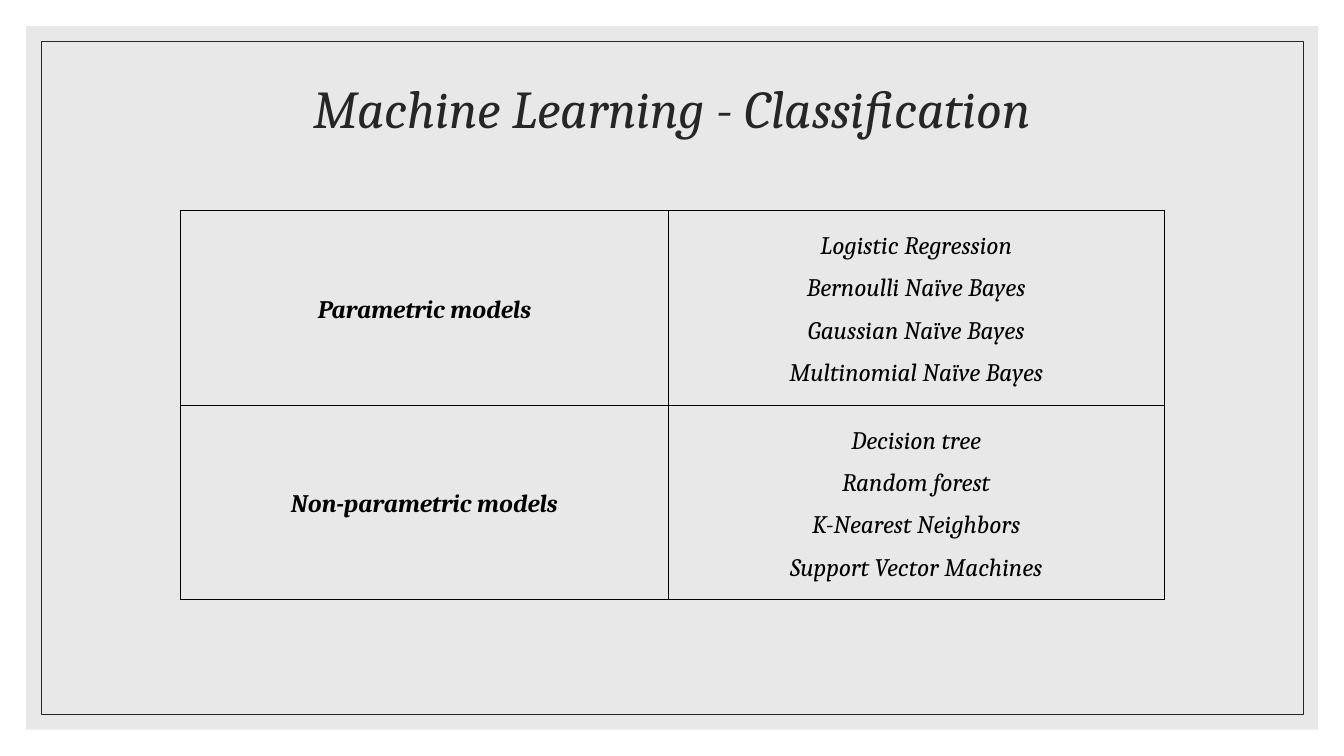
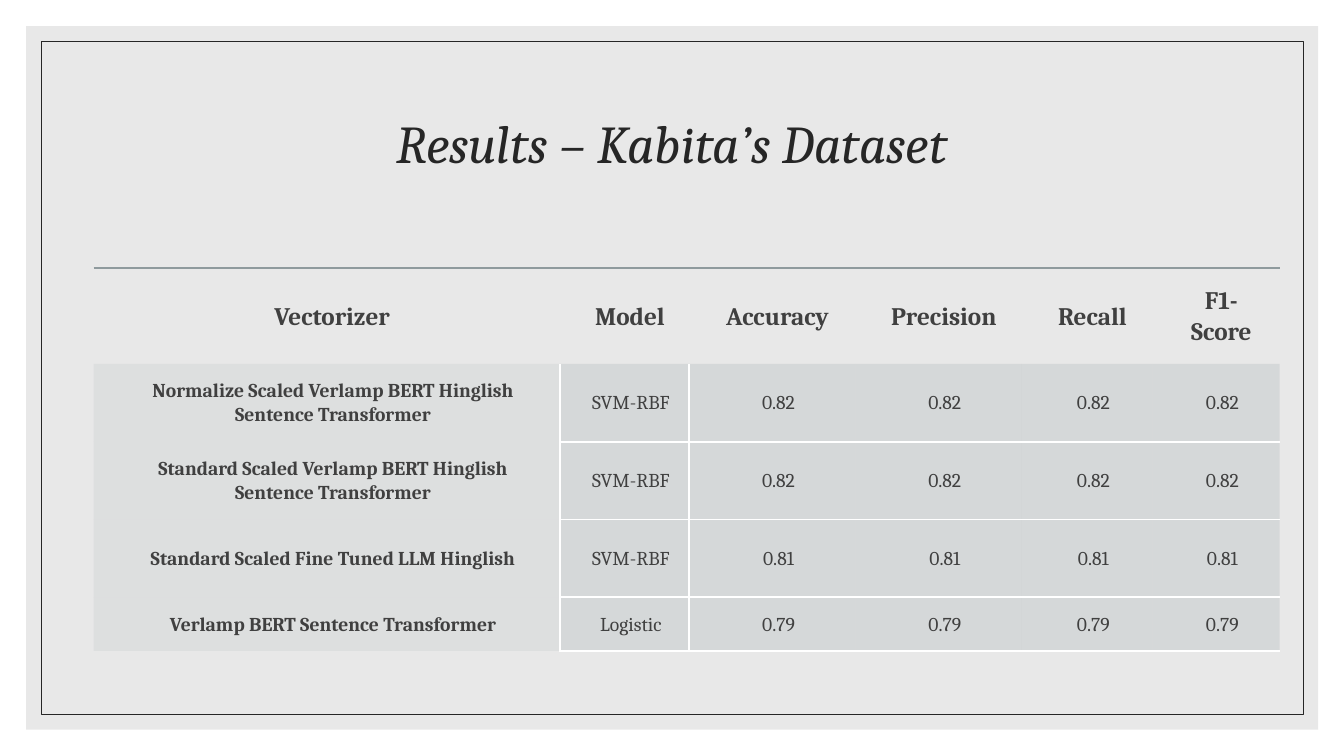
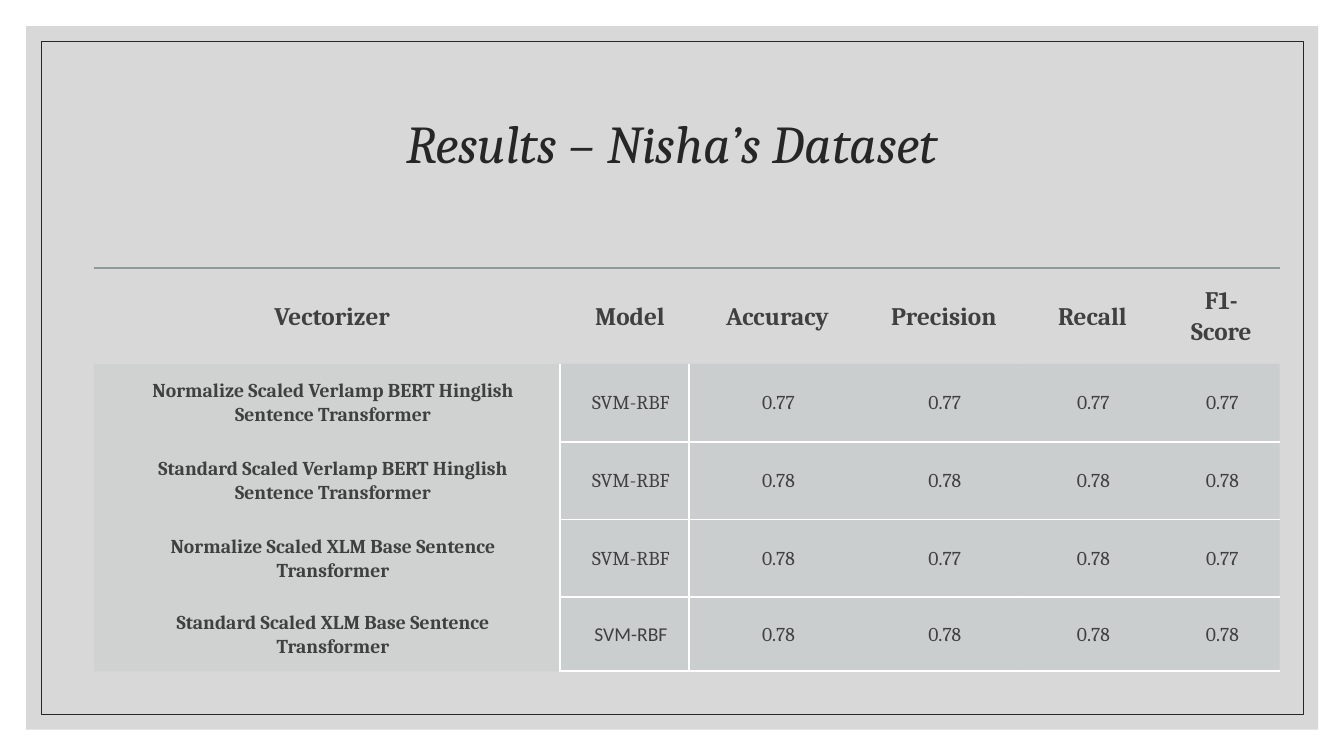
from lxml.etree import SubElement as Sub
from pptx import Presentation
from pptx.dml.color import RGBColor
from pptx.enum.shapes import MSO_SHAPE as Shape
from pptx.enum.text import MSO_ANCHOR as Anchor, MSO_AUTO_SIZE as Fit, PP_ALIGN as Align
from pptx.oxml.ns import qn
from pptx.util import Cm, Pt

FONT = "Cambria"
INK, TEXT, BLACK, WHITE = "262626", "404040", "000000", "FFFFFF"
PALE, GREY, CELL, RULE = "D9D9D9", "BFBFBF", "B4BCBE", "8F9A9D"
PLAIN = "{2D5ABB26-0587-4C30-8999-92F81FD0307C}"

HEADS = ["Vectorizer", "Model", "Accuracy", "Precision", "Recall", "F1-Score"]
WIDTHS = [11.76, 3.25, 4.19, 4.19, 3.3, 3.2]
HEIGHTS = [2.41, 1.96, 1.96, 1.96, 1.35]

MODELS = [
    ["Parametric models",
     "Logistic Regression\nBernoulli Naïve Bayes\nGaussian Naïve Bayes\nMultinomial Naïve Bayes"],
    ["Non-parametric models",
     "Decision tree\nRandom forest\nK-Nearest Neighbors\nSupport Vector Machines"],
]
KABITA = [
    ["Normalize Scaled Verlamp BERT Hinglish Sentence Transformer", "SVM-RBF"] + ["0.82"] * 4,
    ["Standard Scaled Verlamp BERT Hinglish Sentence Transformer", "SVM-RBF"] + ["0.82"] * 4,
    ["Standard Scaled Fine Tuned LLM Hinglish", "SVM-RBF"] + ["0.81"] * 4,
    ["Verlamp BERT Sentence Transformer", "Logistic"] + ["0.79"] * 4,
]
NISHA = [
    ["Normalize Scaled Verlamp BERT Hinglish Sentence Transformer", "SVM-RBF"] + ["0.77"] * 4,
    ["Standard Scaled Verlamp BERT Hinglish Sentence Transformer", "SVM-RBF"] + ["0.78"] * 4,
    ["Normalize Scaled XLM Base Sentence Transformer", "SVM-RBF", "0.78", "0.77", "0.78", "0.77"],
    ["Standard Scaled XLM Base Sentence Transformer", "SVM-RBF"] + ["0.78"] * 4,
]


def color(code):
    return RGBColor.from_string(code)


def fade(fill, alpha):
    Sub(fill[0], qn("a:alpha")).set("val", str(alpha * 1000))


def paint(item, code, alpha=100):
    item.fill.solid()
    item.fill.fore_color.rgb = color(code)
    if alpha < 100:
        fade(item.fill._xPr.find(qn("a:solidFill")), alpha)


def write(frame, text, size=18, ink=TEXT, font=FONT, bold=False, italic=False,
          space=1.06, after=8):
    frame.word_wrap = True
    for i, line in enumerate(text.split("\n")):
        para = frame.paragraphs[0] if i == 0 else frame.add_paragraph()
        para.alignment = Align.CENTER
        para.line_spacing = space
        para.space_before, para.space_after = Pt(0), Pt(after)
        run = para.add_run()
        run.text = line
        run.font.name, run.font.size = font, Pt(size)
        run.font.bold, run.font.italic = bold, italic
        run.font.color.rgb = color(ink)


def box(slide, left, top, width, height):
    rect = slide.shapes.add_shape(Shape.RECTANGLE, Cm(left), Cm(top), Cm(width), Cm(height))
    rect.shadow.inherit = False
    return rect


def start(deck, text, top, shade):
    slide = deck.slides.add_slide(deck.slide_layouts[5])
    panel = box(slide, 0.66, 0.66, 32.56, 17.73)
    paint(panel, shade, 60)
    panel.line.fill.background()
    border = box(slide, 1.04, 1.04, 31.8, 16.97)
    border.fill.background()
    border.line.color.rgb = color(INK)
    border.line.width = Pt(0.5)
    title = slide.shapes.title
    title.left, title.top, title.width, title.height = Cm(2.97), Cm(top), Cm(27.94), Cm(3.81)
    frame = title.text_frame
    frame.auto_size, frame.vertical_anchor = Fit.NONE, Anchor.MIDDLE
    write(frame, text, size=38, ink=INK, italic=True, space=0.9, after=0)
    slide.shapes._spTree.append(title._element)
    return slide


def grid(slide, left, top, widths, heights):
    frame = slide.shapes.add_table(len(heights), len(widths), Cm(left), Cm(top),
                                   Cm(sum(widths)), Cm(sum(heights)))
    table = frame.table
    table.first_row = table.horz_banding = False
    table._tbl.tblPr.find(qn("a:tableStyleId")).text = PLAIN
    for col, width in zip(table.columns, widths):
        col.width = Cm(width)
    for row, height in zip(table.rows, heights):
        row.height = Cm(height)
    return table


def edge(cell, sides, code, width=1.5, alpha=100):
    props = cell._tc.get_or_add_tcPr()
    for side in sides:
        line = Sub(props, qn("a:ln" + side), w=str(Pt(width)))
        fill = Sub(line, qn("a:solidFill"))
        Sub(fill, qn("a:srgbClr"), val=code)
        if alpha < 100:
            fade(fill, alpha)


def pad(cell, left, top, right, bottom):
    cell.vertical_anchor = Anchor.MIDDLE
    cell.margin_left, cell.margin_top = Cm(left), Cm(top)
    cell.margin_right, cell.margin_bottom = Cm(right), Cm(bottom)


def models(slide):
    table = grid(slide, 4.55, 5.31, [12.29, 12.5], [4.9, 4.9])
    for r, row in enumerate(MODELS):
        for c, text in enumerate(row):
            cell = table.cell(r, c)
            pad(cell, 0.3, 0.05, 0.3, 0)
            edge(cell, "LRTB", BLACK, 1)
            cell.fill.background()
            write(cell.text_frame, text, ink=BLACK, bold=c == 0, italic=True, space=1.07)


def scores(slide, rows, fonts={}):
    table = grid(slide, 2.36, 6.76, WIDTHS, HEIGHTS)
    for c, text in enumerate(HEADS):
        cell = table.cell(0, c)
        pad(cell, 0.64, 0.38, 0.38, 0.38)
        edge(cell, "T", RULE, alpha=60)
        cell.fill.background()
        write(cell.text_frame, text, bold=True)
    for r, row in enumerate(rows, 1):
        for c, text in enumerate(row):
            cell = table.cell(r, c)
            pad(cell, 0.64, 0.33, 0.33, 0.33)
            edge(cell, {0: "R", 1: "LB"}.get(c, "B"), WHITE)
            paint(cell, CELL, 35 if c else 20)
            write(cell.text_frame, text, size=14, bold=c == 0, font=fonts.get((r, c), FONT))


def main():
    deck = Presentation()
    deck.slide_width, deck.slide_height = Cm(33.87), Cm(19.05)
    models(start(deck, "Machine Learning - Classification", 0.91, PALE))
    scores(start(deck, "Results – Kabita’s Dataset", 1.78, PALE), KABITA)
    scores(start(deck, "Results – Nisha’s Dataset", 1.78, GREY), NISHA, {(4, 1): "Calibri"})
    deck.save("out.pptx")


main()
